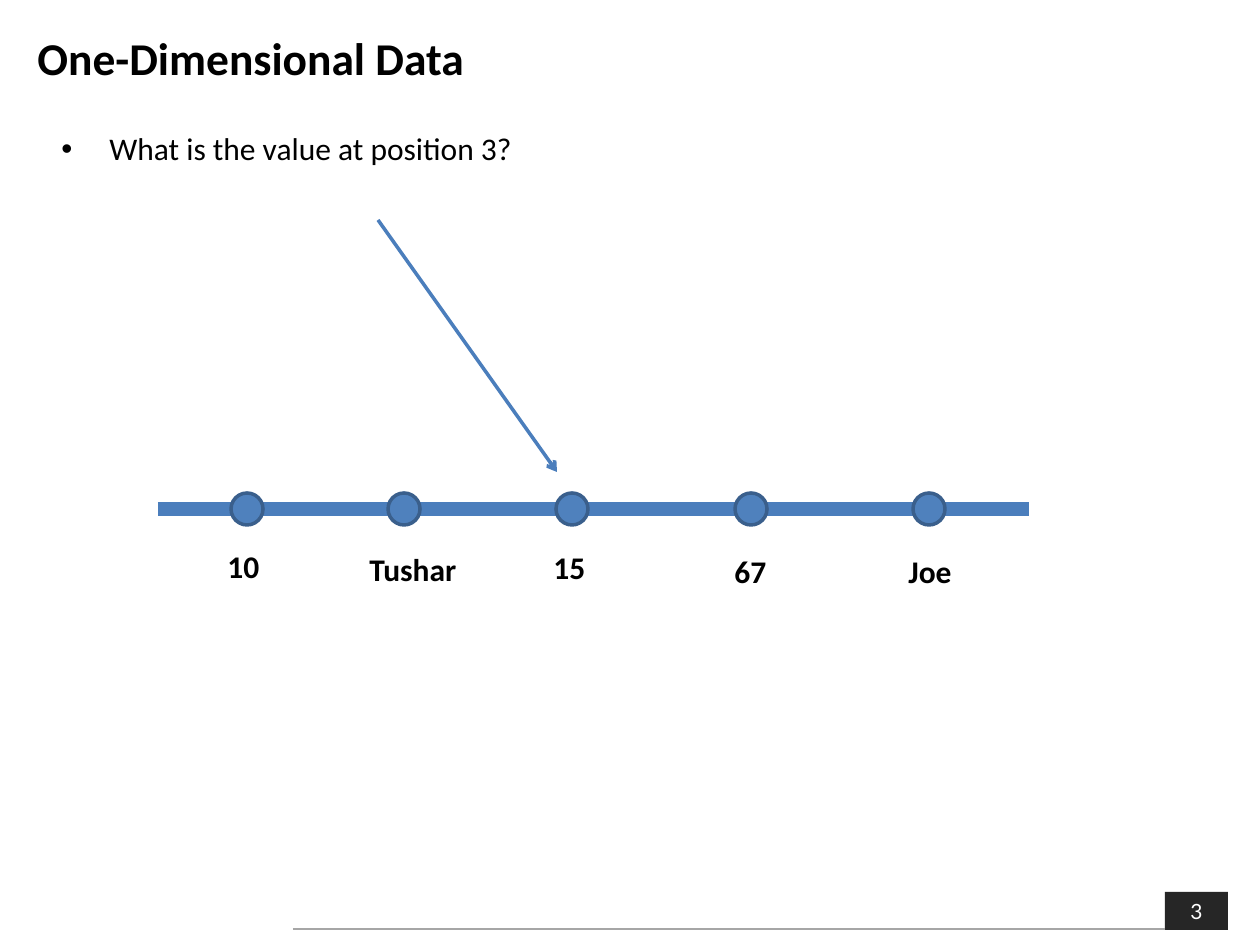
"""Build a slide showing one-dimensional data as points on a line."""

import dataclasses

import lxml.etree
import pptx
import pptx.dml.color
import pptx.enum.shapes
import pptx.enum.text
import pptx.oxml.ns
import pptx.util

EMU_PER_INCH = 914400
PX_PER_INCH = 126
BLACK = pptx.dml.color.RGBColor(0x00, 0x00, 0x00)
WHITE = pptx.dml.color.RGBColor(0xFF, 0xFF, 0xFF)
CHARCOAL = pptx.dml.color.RGBColor(0x26, 0x26, 0x26)
GREY = pptx.dml.color.RGBColor(0xA6, 0xA6, 0xA6)
AXIS_BLUE = pptx.dml.color.RGBColor(0x4B, 0x7E, 0xBC)
POINT_BLUE = pptx.dml.color.RGBColor(0x4F, 0x81, 0xBD)
POINT_EDGE = pptx.dml.color.RGBColor(0x3A, 0x5F, 0x8C)

AXIS_Y = 509
POINT_SIZE = 32
LABEL_HEIGHT = 50


@dataclasses.dataclass(frozen=True)
class DataPoint:
    value: str
    center: int
    label_left: int
    label_top: int
    label_width: int


POINTS = [
    DataPoint("10", 247, 215, 541, 58),
    DataPoint("Tushar", 404, 357, 544, 113),
    DataPoint("15", 572, 541, 542, 58),
    DataPoint("67", 751, 722, 546, 58),
    DataPoint("Joe", 929, 896, 546, 69),
]


def px(length: int) -> pptx.util.Emu:
    return pptx.util.Emu(round(length * EMU_PER_INCH / PX_PER_INCH))


def write(box, text: str, *, size=18, bold=False, color=BLACK, font="Calibri",
          align=pptx.enum.text.PP_ALIGN.LEFT,
          anchor=pptx.enum.text.MSO_ANCHOR.TOP, wrap=True):
    frame = box.text_frame
    frame.word_wrap = wrap
    frame.vertical_anchor = anchor
    para = frame.paragraphs[0]
    para.alignment = align
    span = para.add_run()
    span.text = text
    span.font.name = font
    span.font.size = pptx.util.Pt(size)
    span.font.bold = bold
    span.font.color.rgb = color
    return para


def add_text(page, left: int, top: int, width: int, height: int, text: str, **style):
    box = page.shapes.add_textbox(px(left), px(top), px(width), px(height))
    return write(box, text, **style)


def add_bullet(para, indent: int) -> None:
    properties = para._p.get_or_add_pPr()
    properties.set("marL", str(px(indent)))
    properties.set("indent", str(-px(indent)))
    para.space_before = pptx.util.Pt(3.6)
    font = lxml.etree.SubElement(properties, pptx.oxml.ns.qn("a:buFont"))
    font.set("typeface", "Arial")
    bullet = lxml.etree.SubElement(properties, pptx.oxml.ns.qn("a:buChar"))
    bullet.set("char", "•")


def add_shape(page, kind, left: int, top: int, width: int, height: int, fill, edge=None):
    shape = page.shapes.add_shape(kind, px(left), px(top), px(width), px(height))
    shape.shadow.inherit = False
    shape.fill.solid()
    shape.fill.fore_color.rgb = fill
    if edge is None:
        shape.line.fill.background()
    else:
        shape.line.color.rgb = edge
        shape.line.width = pptx.util.Pt(2)
    return shape


def add_line(page, start: tuple[int, int], end: tuple[int, int], color, weight: float,
             arrow: bool = False) -> None:
    line = page.shapes.add_connector(
        pptx.enum.shapes.MSO_CONNECTOR.STRAIGHT,
        px(start[0]), px(start[1]), px(end[0]), px(end[1]))
    line.line.color.rgb = color
    line.line.width = pptx.util.Pt(weight)
    if arrow:
        tail = lxml.etree.SubElement(
            line.line._get_or_add_ln(), pptx.oxml.ns.qn("a:tailEnd"))
        tail.set("type", "arrow")
    lxml.etree.SubElement(line._element.spPr, pptx.oxml.ns.qn("a:effectLst"))


def add_point(page, point: DataPoint) -> None:
    add_shape(page, pptx.enum.shapes.MSO_SHAPE.FLOWCHART_CONNECTOR,
              point.center - POINT_SIZE // 2, AXIS_Y - POINT_SIZE // 2,
              POINT_SIZE, POINT_SIZE, POINT_BLUE, POINT_EDGE)
    add_text(page, point.label_left, point.label_top, point.label_width,
             LABEL_HEIGHT, point.value, bold=True, wrap=False)


def main() -> None:
    deck = pptx.Presentation()
    deck.slide_width, deck.slide_height = px(1260), px(945)
    page = deck.slides.add_slide(deck.slide_layouts[6])

    number = add_shape(page, pptx.enum.shapes.MSO_SHAPE.RECTANGLE,
                       1165, 892, 63, 38, CHARCOAL)
    write(number, "3", size=12, color=WHITE, font="Lato",
          align=pptx.enum.text.PP_ALIGN.CENTER,
          anchor=pptx.enum.text.MSO_ANCHOR.MIDDLE)
    add_line(page, (293, 929), (1165, 929), GREY, 0.75)

    question = add_text(page, 49, 123, 1191, 726, "What is the value at position 3?")
    add_bullet(question, 48)
    add_text(page, 25, 19, 1216, 77, "One-Dimensional Data", size=26, bold=True,
             anchor=pptx.enum.text.MSO_ANCHOR.MIDDLE)

    add_line(page, (158, AXIS_Y), (1029, AXIS_Y), AXIS_BLUE, 8)
    for point in POINTS:
        add_point(page, point)
    add_line(page, (378, 220), (557, 472), AXIS_BLUE, 2, arrow=True)

    deck.save("out.pptx")


if __name__ == "__main__":
    main()
